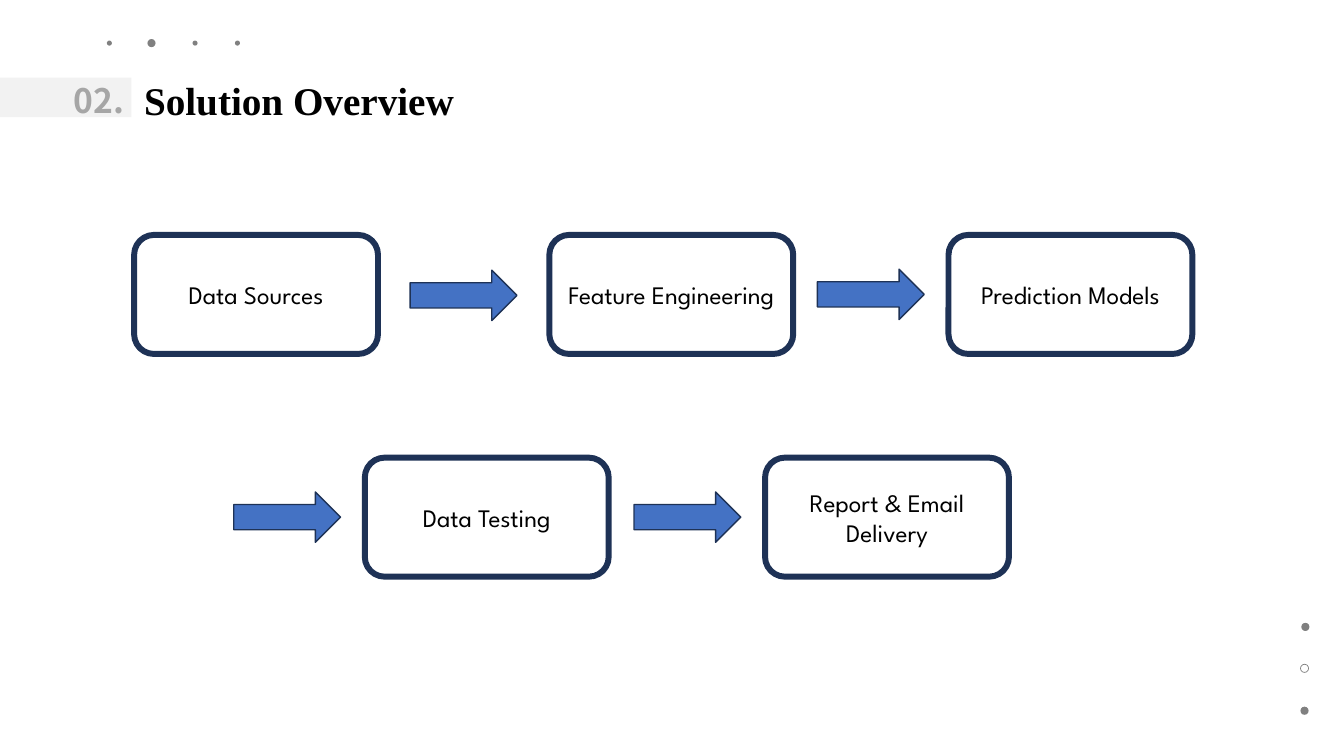
from lxml import etree
from pptx import Presentation
from pptx.dml.color import RGBColor
from pptx.enum.shapes import MSO_SHAPE
from pptx.enum.text import MSO_ANCHOR, PP_ALIGN
from pptx.oxml.ns import qn
from pptx.util import Pt

OVAL, RECT = MSO_SHAPE.OVAL, MSO_SHAPE.RECTANGLE
ROUND, ARROW = MSO_SHAPE.ROUNDED_RECTANGLE, MSO_SHAPE.RIGHT_ARROW
LEFT, MID, RIGHT = PP_ALIGN.LEFT, PP_ALIGN.CENTER, PP_ALIGN.RIGHT

GREY = RGBColor(0x80, 0x80, 0x80)
PALE = RGBColor(0xA6, 0xA6, 0xA6)
NAVY = RGBColor(0x1E, 0x32, 0x56)
BLUE = RGBColor(0x44, 0x72, 0xC4)
BLACK = RGBColor(0, 0, 0)

# Content: heads as text, left, width, align, font, size, colour
HEADS = [
    ("02.", 43.9, 51.8, RIGHT, "Noto Sans CJK JP", 24, PALE),
    ("Solution Overview", 95.8, 295.2, LEFT, "Times New Roman", 28, BLACK),
]
# Rows: top, steps (text, left), left edges of arrows with their drop
ROWS = [
    (167.8,
     [("Data Sources", 95.8), ("Feature Engineering", 392.4),
      ("Prediction Models", 677.5)],
     [(293, 25.2), (583.9, 24.5)]),
    (326.9,
     [("Data Testing", 260.6), ("Report & Email Delivery", 546.5)],
     [(167, 24.5), (452.9, 24.5)]),
]
# Dots: centre x, centre y, size, filled
DOTS = [(78.1, 30.8, 3.6, True), (108.2, 30.8, 5.8, True),
        (139.3, 30.8, 3.6, True), (169.6, 30.8, 3.6, True),
        (932.4, 447.8, 5.8, True), (931.8, 477.4, 5.8, False),
        (931.8, 507.7, 5.8, True)]
BOX_W, BOX_H = 174.2, 85
ARROW_W, ARROW_H = 76.3, 36
HEAD_Y, HEAD_H = 52.6, 37.4

deck = Presentation()
deck.slide_width, deck.slide_height = Pt(960), Pt(540)
slide = deck.slides.add_slide(deck.slide_layouts[6])


def draw(kind, x, y, w, h, fill=None, line=None, width=1):
    shape = slide.shapes.add_shape(kind, Pt(x), Pt(y), Pt(w), Pt(h))
    shape.shadow.inherit = False
    if fill is None:
        shape.fill.background()
    else:
        shape.fill.solid()
        shape.fill.fore_color.rgb = fill
    if line is None:
        shape.line.fill.background()
    else:
        shape.line.color.rgb = line
        shape.line.width = Pt(width)
    return shape


def write(shape, text, align, font, size, color, bold=False):
    frame = shape.text_frame
    frame.word_wrap = True
    frame.vertical_anchor = MSO_ANCHOR.MIDDLE
    para = frame.paragraphs[0]
    para.alignment = align
    run = para.add_run()
    run.text = text
    run.font.name, run.font.size = font, Pt(size)
    run.font.bold = bold
    run.font.color.rgb = color


# Dots in the corners
for x, y, size, full in DOTS:
    draw(OVAL, x - size / 2, y - size / 2, size, size,
         GREY if full else None, None if full else GREY, 0.5)

# Heading on a faint bar
bar = draw(RECT, 0, 55.4, 93.8, 28.4, GREY)
tint = bar.fill._xPr.find(qn("a:solidFill"))[0]
etree.SubElement(tint, qn("a:alpha")).set("val", "10000")
for text, x, w, align, font, size, color in HEADS:
    box = slide.shapes.add_textbox(Pt(x), Pt(HEAD_Y), Pt(w), Pt(HEAD_H))
    write(box, text, align, font, size, color, True)

# Flow of steps and arrows
for top, steps, arrows in ROWS:
    for text, x in steps:
        box = draw(ROUND, x, top, BOX_W, BOX_H, line=NAVY, width=4.25)
        write(box, text, MID, "League Spartan", 18, BLACK)
    for x, drop in arrows:
        draw(ARROW, x, top + drop, ARROW_W, ARROW_H, BLUE, NAVY)

deck.save("out.pptx")
